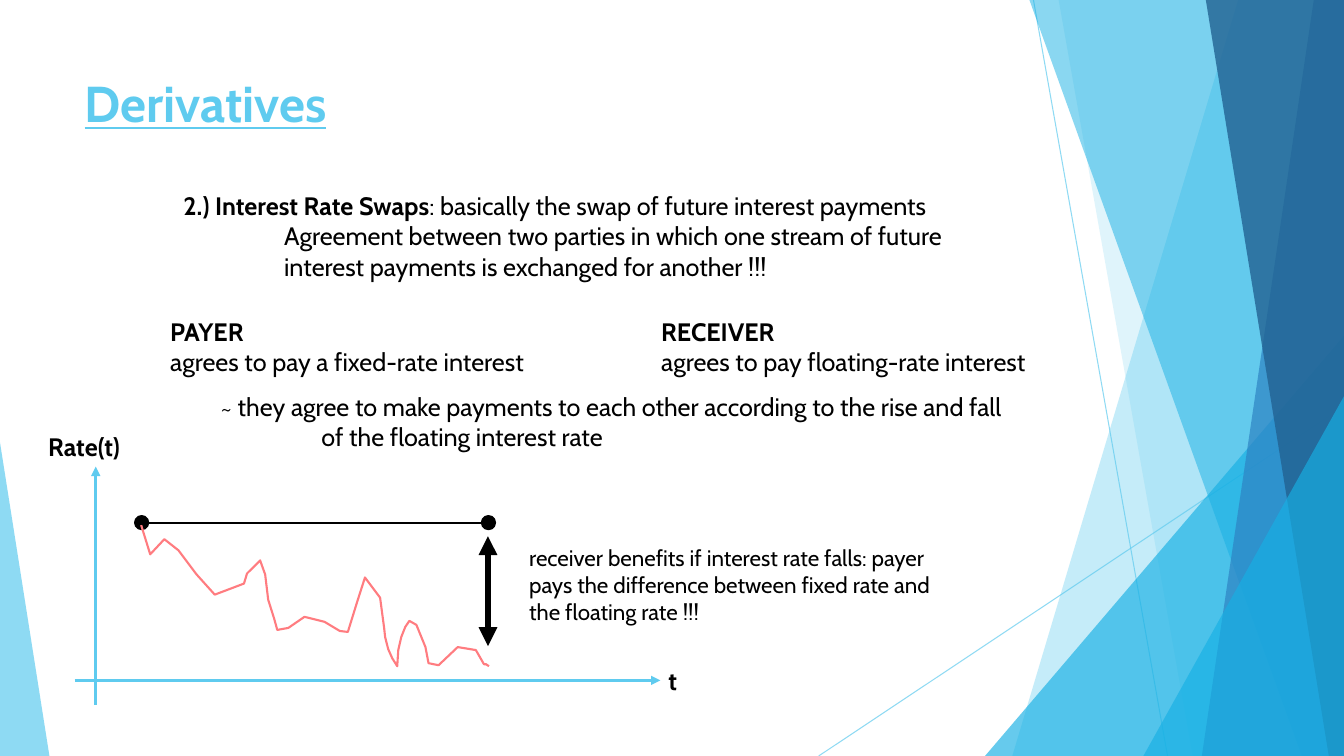
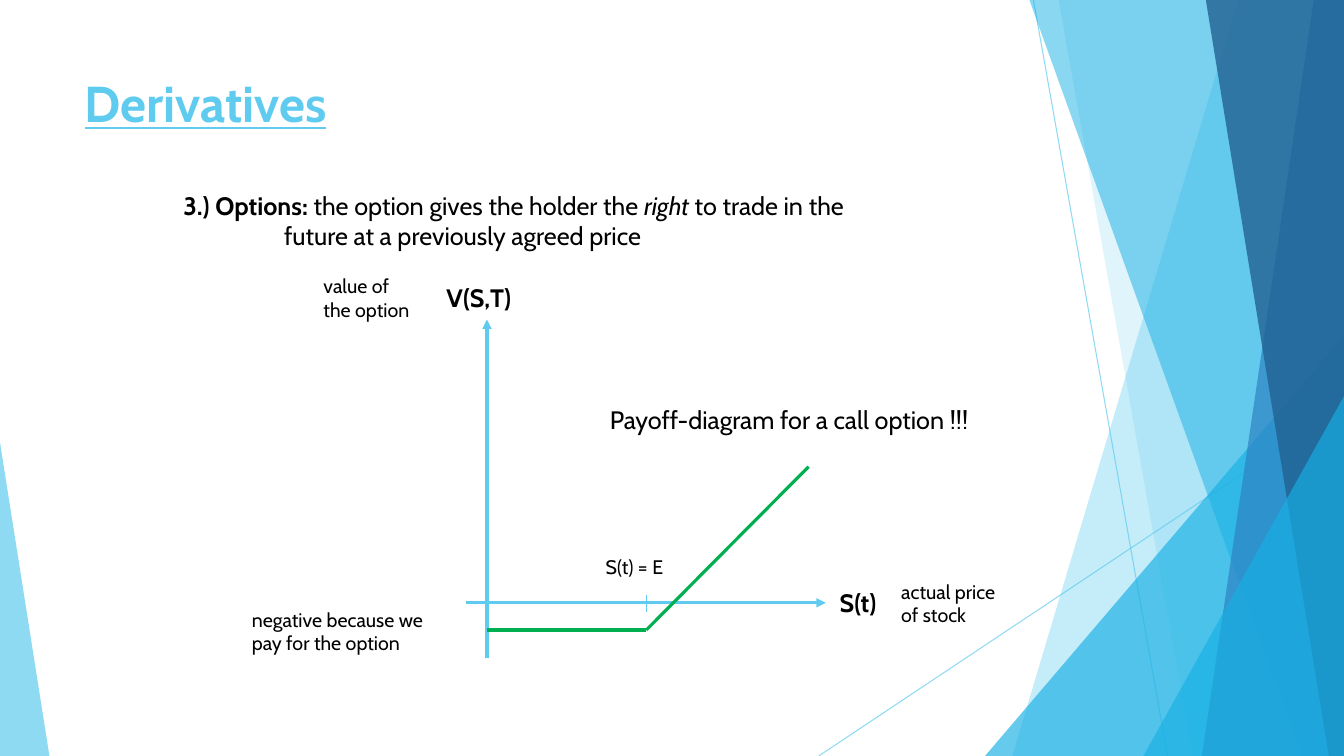
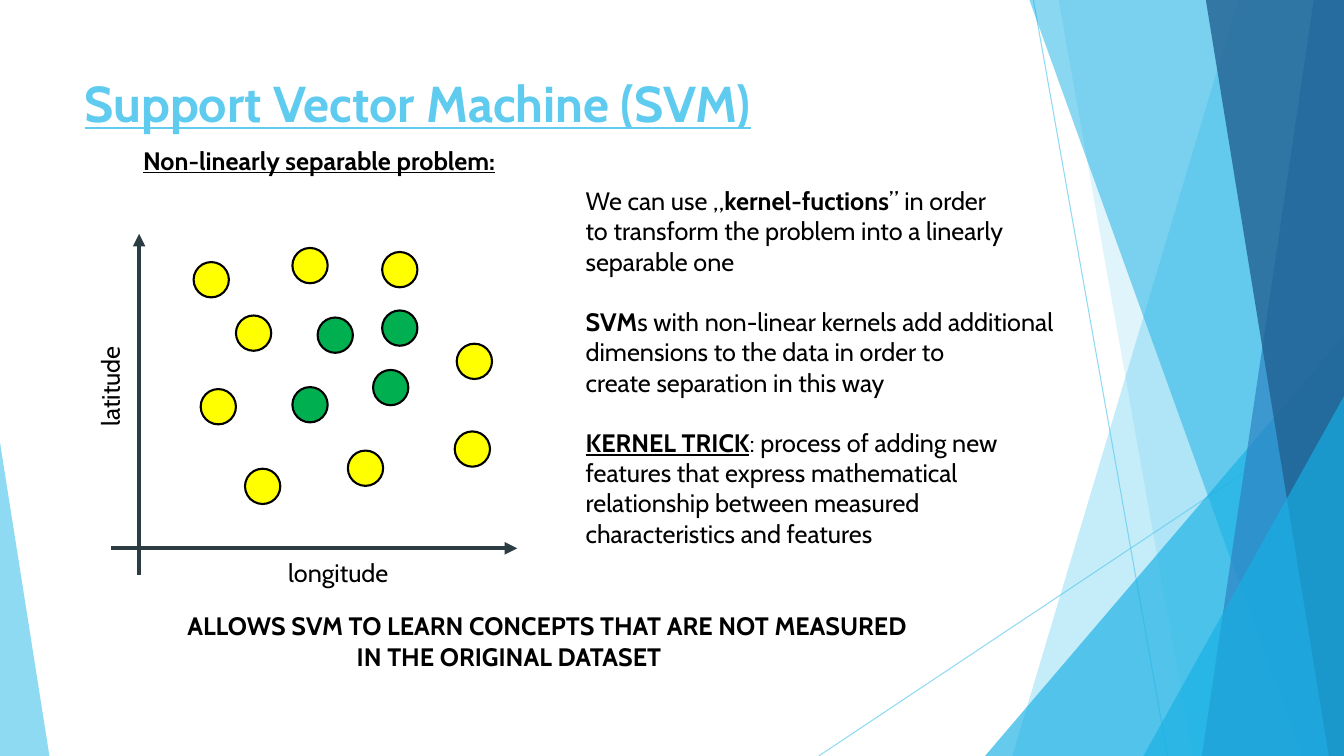
"""Build three lecture slides on derivatives and support vector machines."""
from dataclasses import dataclass

from lxml import etree
from pptx import Presentation
from pptx.dml.color import RGBColor
from pptx.enum.shapes import MSO_CONNECTOR, MSO_SHAPE
from pptx.oxml.ns import qn
from pptx.util import Cm, Pt

STRAIGHT = MSO_CONNECTOR.STRAIGHT
OVAL = MSO_SHAPE.OVAL
TRIANGLE = MSO_SHAPE.ISOSCELES_TRIANGLE

FONT = "Cabin"
WIDTH, HEIGHT = 13.33, 7.5
COLORS = {
    "black": "000000", "sky": "5FCBEF", "cyan": "17B0E4", "blue": "2E83C3",
    "navy": "226292", "slate": "2C3C43", "green": "00B050",
    "yellow": "FFFF00", "rose": "FF7C80",
}


@dataclass
class Line:
    """One paragraph: runs are (text, style) pairs, style from b, i, u."""
    runs: list
    indent: float = 0
    gap: float = 0


RAYS = [(10.25, 0, 11.58, HEIGHT), (WIDTH, 4.03, 8.12, HEIGHT)]
BACKDROP = [
    ("band", "sky", 36, (12.28, 10.04)),
    ("band", "sky", 20, (10.5, 11.83)),
    ("wedge", "cyan", 66, (9.77, 3.33, 3.56, 1)),
    ("band", "cyan", 50, (10.21, 12.91)),
    ("band", "blue", 70, (13.03, 11.92)),
    ("band", "navy", 80, (11.96, 13.18)),
    ("wedge", "cyan", 66, (11.34, 3.93, 1.99, 1)),
    ("wedge", "sky", 70, (0, 4.39, 0.49, 0)),
]

BLANK_LINE = 21.6
RATE_CURVE = [
    (1.4, 5.21), (1.49, 5.5), (1.63, 5.35), (1.77, 5.46), (1.95, 5.7),
    (2.13, 5.9), (2.42, 5.79), (2.45, 5.69), (2.58, 5.56), (2.63, 5.7),
    (2.66, 5.95), (2.72, 6.14), (2.75, 6.25), (2.86, 6.23), (3.02, 6.12),
    (3.22, 6.17), (3.37, 6.26), (3.45, 6.27), (3.54, 5.98), (3.62, 5.73),
    (3.77, 5.93), (3.81, 6.23), (3.82, 6.32), (3.85, 6.44), (3.89, 6.53),
    (3.94, 6.61), (3.95, 6.45), (3.98, 6.32), (4.02, 6.22), (4.06, 6.16),
    (4.13, 6.2), (4.22, 6.42), (4.25, 6.58), (4.35, 6.6), (4.54, 6.42),
    (4.72, 6.45), (4.8, 6.59), (4.82, 6.59), (4.85, 6.61),
]

SLIDES = [
    {
        "title": "Derivatives",
        "texts": [
            (1.72, 1.84, 8.39, 1.01, 18, [
                Line([("2.) Interest Rate Swaps", "b"),
                      (": basically the swap of future interest payments", "")]),
                Line([("Agreement between two parties in which one stream of future", "")], 1),
                Line([("interest payments is exchanged for another !!!", "")], 1)]),
            (1.59, 3.09, 4.1, 0.71, 18, [
                Line([("PAYER", "b")]),
                Line([("agrees to pay a fixed-rate interest", "")])]),
            (6.46, 3.09, 4.27, 0.71, 18, [
                Line([("RECEIVER", "b")]),
                Line([("agrees to pay floating-rate interest", "")])]),
            (2.09, 3.83, 8.74, 0.71, 18, [
                Line([("~ they agree to make payments to each other according "
                       "to the rise and fall", "")]),
                Line([("of the floating interest rate", "")], 1)]),
            (0.38, 4.23, 1.02, 0.4, 18, [Line([("Rate(t)", "b")])]),
            (6.53, 6.55, 0.3, 0.4, 18, [Line([("t", "b")])]),
            (5.15, 5.35, 4.69, 0.91, 16, [
                Line([("receiver benefits if interest rate falls: payer", "")]),
                Line([("pays the difference between fixed rate and", "")]),
                Line([("the floating rate !!!", "")])]),
        ],
        "lines": [
            (0.95, 6.99, 0.95, 4.63, "sky", 2.25, 1),
            (0.74, 6.75, 6.55, 6.75, "sky", 2.25, 1),
            (1.47, 5.19, 4.77, 5.19, "black", 1, 0),
            (4.84, 5.32, 4.84, 6.41, "black", 4.5, 2),
        ],
        "dots": [("black", 0.13, [(1.34, 5.12), (4.78, 5.12)])],
        "curves": [(RATE_CURVE, "rose", 1.5)],
    },
    {
        "title": "Derivatives",
        "texts": [
            (1.72, 1.84, 7.56, 0.71, 18, [
                Line([("3.) Options: ", "b"), ("the option gives the holder the ", ""),
                      ("right", "i"), (" to trade in the", "")]),
                Line([("future at a previously agreed price", "")], 1)]),
            (4.33, 2.75, 0.92, 0.4, 18, [Line([("V(S,T)", "b")])]),
            (8.23, 5.78, 0.62, 0.4, 18, [Line([("S(t)", "b")])]),
            (8.84, 5.7, 1.25, 0.57, 14, [
                Line([("actual price", "")]), Line([("of stock", "")])]),
            (3.11, 2.67, 1.11, 0.57, 14, [
                Line([("value of", "")]), Line([("the option", "")])]),
            (2.4, 5.98, 2.03, 0.57, 14, [
                Line([("negative because we", "")]),
                Line([("pay for the option", "")])]),
            (5.91, 5.46, 0.9, 0.34, 14, [Line([("S(t) = E", "")])]),
            (5.95, 3.96, 4.16, 0.4, 18, [
                Line([("Payoff-diagram for a call option !!!", "")])]),
        ],
        "lines": [
            (4.83, 6.53, 4.83, 3.17, "sky", 2.25, 1),
            (4.62, 5.98, 8.19, 5.98, "sky", 2.25, 1),
            (4.83, 6.25, 6.41, 6.25, "green", 2.25, 0),
            (6.41, 6.25, 8.02, 4.63, "green", 2.25, 0),
            (6.41, 6.07, 6.41, 5.9, "sky", 1, 0),
        ],
    },
    {
        "title": "Support Vector Machine (SVM)",
        "texts": [
            (1.32, 1.39, 4.08, 0.4, 18, [
                Line([("Non-linearly separable problem:", "bu")])]),
            (0.52, 3.56, 1.14, 0.4, 18, [Line([("latitude", "")])], 270),
            (2.76, 5.48, 1.37, 0.4, 18, [Line([("longitude", "")])]),
            (5.71, 1.79, 5.18, 3.74, 18, [
                Line([("We can use „", ""), ("kernel-fuctions", "b"), ("” in order", "")]),
                Line([("to transform the problem into a linearly", "")]),
                Line([("separable one", "")]),
                Line([("SVM", "b"), ("s with non-linear kernels add additional", "")],
                     gap=BLANK_LINE),
                Line([("dimensions to the data in order to", "")]),
                Line([("create separation in this way", "")]),
                Line([("KERNEL TRICK", "bu"), (": process of adding new", "")],
                     gap=BLANK_LINE),
                Line([("features that express mathematical", "")]),
                Line([("relationship between measured", "")]),
                Line([("characteristics and features", "")])]),
            (1.76, 6.01, 7.36, 0.71, 18, [
                Line([("ALLOWS SVM TO LEARN CONCEPTS THAT ARE NOT MEASURED", "b")]),
                Line([("IN THE ORIGINAL DATASET", "b")], 1.68)]),
        ],
        "lines": [
            (1.38, 5.7, 1.38, 2.32, "slate", 3, 1),
            (1.1, 5.44, 5.13, 5.44, "slate", 3, 1),
        ],
        "dots": [
            ("yellow", 0.35, [
                (2.34, 3.13), (2.43, 4.65), (1.99, 3.86), (3.45, 4.47), (2.9, 2.46),
                (3.79, 2.5), (4.53, 3.41), (4.51, 4.28), (1.92, 2.6)]),
            ("green", 0.35, [(3.15, 3.15), (2.9, 3.84), (3.7, 3.67), (3.79, 3.08)]),
        ],
    },
]


def inches(*values):
    """Convert inch values to lengths."""
    return [Cm(v * 2.54) for v in values]


def rgb(name):
    """Look up a palette colour."""
    return RGBColor.from_string(COLORS[name])


def set_alpha(element, percent):
    """Make the solid colour inside an element partly transparent."""
    color = next(element.iter(qn("a:srgbClr")))
    etree.SubElement(color, qn("a:alpha")).set("val", str(percent * 1000))


def style_shape(sp, fill=None, line=None, weight=1.5, alpha=None):
    """Set fill and outline and drop the shadow."""
    sp.shadow.inherit = False
    if fill:
        sp.fill.solid()
        sp.fill.fore_color.rgb = rgb(fill)
    else:
        sp.fill.background()
    if alpha:
        set_alpha(sp.fill._xPr, alpha)
    if line:
        sp.line.color.rgb = rgb(line)
        sp.line.width = Pt(weight)
    else:
        sp.line.fill.background()


def add_line(s, x1, y1, x2, y2, color, weight, arrows=0, alpha=None):
    """Draw a straight line with no, one or two arrowheads."""
    c = s.shapes.add_connector(STRAIGHT, *inches(x1, y1, x2, y2))
    c.line.color.rgb = rgb(color)
    c.line.width = Pt(weight)
    ln = c.line._get_or_add_ln()
    if alpha:
        set_alpha(ln, alpha)
    for end in ([], ["a:tailEnd"], ["a:headEnd", "a:tailEnd"])[arrows]:
        etree.SubElement(ln, qn(end)).set("type", "triangle")
    etree.SubElement(c._element.spPr, qn("a:effectLst"))


def add_outline(s, points, close):
    """Draw a freeform through the points."""
    points = [inches(*point) for point in points]
    builder = s.shapes.build_freeform(*points[0])
    builder.add_line_segments(points[1:], close=close)
    return builder.convert_to_shape()


def style_font(font, style):
    """Apply bold, italic and underline letters."""
    if "b" in style:
        font.bold = True
    if "i" in style:
        font.italic = True
    if "u" in style:
        font.underline = True


def add_text(s, x, y, w, h, size, lines, rotation=0, color="black"):
    """Place a text box, one paragraph per line."""
    sp = s.shapes.add_textbox(*inches(x, y, w, h))
    sp.rotation = rotation
    tf = sp.text_frame
    tf.word_wrap = True
    for i, line in enumerate(lines):
        p = tf.paragraphs[0] if i == 0 else tf.add_paragraph()
        p.font.name, p.font.size = FONT, Pt(size)
        p.font.color.rgb = rgb(color)
        if line.indent:
            p._p.get_or_add_pPr().set("marL", str(inches(line.indent)[0]))
        if line.gap:
            p.space_before = Pt(line.gap)
        for text, style in line.runs:
            r = p.add_run()
            r.text = text
            style_font(p.font if len(line.runs) == 1 else r.font, style)


def add_backdrop(s):
    """Draw the rays, bands and wedges common to all slides."""
    for ray in RAYS:
        add_line(s, *ray, "sky", 0.75, alpha=70)
    for kind, color, alpha, place in BACKDROP:
        if kind == "band":
            top, bottom = place
            corners = [(top, 0), (WIDTH, 0), (WIDTH, HEIGHT), (bottom, HEIGHT)]
            sp = add_outline(s, corners, True)
        else:
            x, y, w, apex = place
            sp = s.shapes.add_shape(TRIANGLE, *inches(x, y, w, HEIGHT - y))
            sp.adjustments[0] = apex
        style_shape(sp, color, alpha=alpha)


def build_slide(prs, content):
    """Add one slide from its content."""
    s = prs.slides.add_slide(prs.slide_layouts[6])
    add_backdrop(s)
    add_text(s, 0.74, 0.67, 9.4, 1.44, 36, [Line([(content["title"], "bu")])], color="sky")
    for line in content["lines"]:
        add_line(s, *line)
    for color, size, places in content.get("dots", []):
        for x, y in places:
            sp = s.shapes.add_shape(OVAL, *inches(x, y, size, size))
            style_shape(sp, color, "black")
    for points, color, weight in content.get("curves", []):
        style_shape(add_outline(s, points, False), line=color, weight=weight)
    for text in content["texts"]:
        add_text(s, *text)


def main():
    """Build and save the presentation."""
    prs = Presentation()
    prs.slide_width, prs.slide_height = inches(WIDTH, HEIGHT)
    for content in SLIDES:
        build_slide(prs, content)
    prs.save("out.pptx")


if __name__ == "__main__":
    main()
